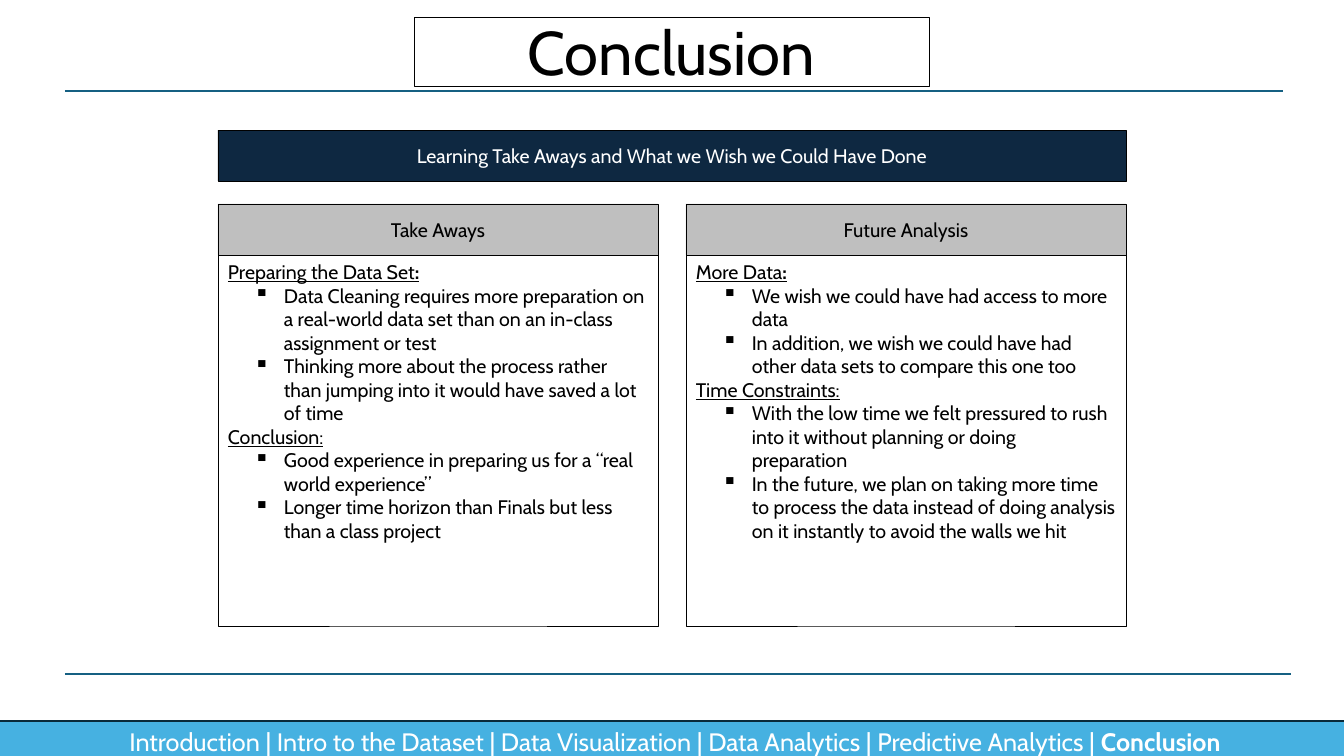
from lxml.etree import SubElement
from pptx import Presentation
from pptx.dml.color import RGBColor
from pptx.enum.shapes import MSO_CONNECTOR, MSO_SHAPE
from pptx.enum.text import MSO_ANCHOR, PP_ALIGN
from pptx.oxml.ns import qn
from pptx.util import Pt

TITLE = "Conclusion"
BANNER = "Learning Take Aways and What we Wish we Could Have Done"
STEPS = ["Introduction", "Intro to the Dataset", "Data Visualization",
         "Data Analytics", "Predictive Analytics"]
CURRENT = "Conclusion"
PANELS = [
    ("Take Aways", [
        ("Preparing the Data Set", True, [
            "Data Cleaning requires more preparation on a real-world data set than on an in-class assignment or test",
            "Thinking more about the process rather than jumping into it would have saved a lot of time"]),
        ("Conclusion", False, [
            "Good experience in preparing us for a “real world experience”",
            "Longer time horizon than Finals but less than a class project"])]),
    ("Future Analysis", [
        ("More Data", True, [
            "We wish we could have had access to more data",
            "In addition, we wish we could have had other data sets to compare this one too"]),
        ("Time Constraints", False, [
            "With the low time we felt pressured to rush into it without planning or doing preparation",
            "In the future, we plan on taking more time to process the data instead of doing analysis on it instantly to avoid the walls we hit"])]),
]
RULES = [(65, 1283, 91), (65, 1291, 674)]

BLACK = RGBColor(0x00, 0x00, 0x00)
WHITE = RGBColor(0xFF, 0xFF, 0xFF)
NAVY = RGBColor(0x0E, 0x28, 0x41)
GRAY = RGBColor(0xBF, 0xBF, 0xBF)
SKY = RGBColor(0x46, 0xB1, 0xE1)
EDGE = RGBColor(0x09, 0x2A, 0x39)
TEAL = RGBColor(0x15, 0x60, 0x82)
FONT = "Cabin"
SCALE = 914400 / 100.8

LEFT, WIDTH, GAP = 218, 908, 28
PANEL = (WIDTH - GAP) // 2
HEAD_TOP, HEAD_TALL, BODY_TALL = 204, 51, 371
INDENT, HANG = 56, 30


def px(size):
    return round(size * SCALE)


def add_box(slide, area, fill, edge=BLACK, weight=0.5, anchor=MSO_ANCHOR.MIDDLE):
    box = slide.shapes.add_shape(MSO_SHAPE.RECTANGLE, *map(px, area))
    box.shadow.inherit = False
    if fill is None:
        box.fill.background()
    else:
        box.fill.solid()
        box.fill.fore_color.rgb = fill
    box.line.color.rgb = edge
    box.line.width = Pt(weight)
    frame = box.text_frame
    frame.word_wrap = True
    frame.vertical_anchor = anchor
    return frame


def add_run(para, text, size, color, bold=False, under=False):
    run = para.add_run()
    run.text = text
    font = run.font
    font.name, font.size = FONT, Pt(size)
    font.bold, font.underline = bold, under
    font.color.rgb = color


def add_label(frame, text, size, color):
    para = frame.paragraphs[0]
    para.alignment = PP_ALIGN.CENTER
    add_run(para, text, size, color)
    return para


def add_rule(slide, start, end, top):
    rule = slide.shapes.add_connector(
        MSO_CONNECTOR.STRAIGHT, px(start), px(top), px(end), px(top))
    rule.line.color.rgb = TEAL
    rule.line.width = Pt(1.5)
    SubElement(rule._element.spPr, qn("a:effectLst"))


def add_bullet(para):
    para.level = 1
    props = para._p.get_or_add_pPr()
    props.set("marL", str(px(INDENT)))
    props.set("indent", str(-px(HANG)))
    color = SubElement(props, qn("a:buClr"))
    SubElement(color, qn("a:srgbClr"), val=str(BLACK))
    SubElement(props, qn("a:buSzPct"), val="110000")
    SubElement(props, qn("a:buChar"), char="▪")


def fill_body(frame, groups):
    lines = []
    for head, strong, points in groups:
        lines.append((head, strong, False))
        lines += [(point, False, True) for point in points]
    for index, (text, strong, point) in enumerate(lines):
        para = frame.add_paragraph() if index else frame.paragraphs[0]
        para.alignment = PP_ALIGN.LEFT
        add_run(para, text, 14, BLACK, under=not point)
        if point:
            add_bullet(para)
        else:
            add_run(para, ":", 14, BLACK, bold=strong, under=True)


def main():
    deck = Presentation()
    deck.slide_width, deck.slide_height = px(1344), px(756)
    slide = deck.slides.add_slide(deck.slide_layouts[6])

    title = add_box(slide, (414, 17, 515, 69), None, anchor=MSO_ANCHOR.TOP)
    add_label(title, TITLE, 44, BLACK).line_spacing = 0.9

    footer = add_box(slide, (-9, 721, 1368, 41), SKY, EDGE, 1.5)
    trail = add_label(footer, " | ".join(STEPS) + " | ", 18, WHITE)
    add_run(trail, CURRENT, 18, WHITE, bold=True)

    for rule in RULES:
        add_rule(slide, *rule)

    banner = add_box(slide, (LEFT, 130, WIDTH, HEAD_TALL), NAVY)
    add_label(banner, BANNER, 14, WHITE)

    for index, (name, groups) in enumerate(PANELS):
        left = LEFT + index * (PANEL + GAP)
        body = add_box(slide, (left, HEAD_TOP + HEAD_TALL, PANEL, BODY_TALL),
                       WHITE, anchor=MSO_ANCHOR.TOP)
        fill_body(body, groups)
        head = add_box(slide, (left, HEAD_TOP, PANEL, HEAD_TALL), GRAY)
        add_label(head, name, 14, BLACK)

    deck.save("out.pptx")


if __name__ == "__main__":
    main()
